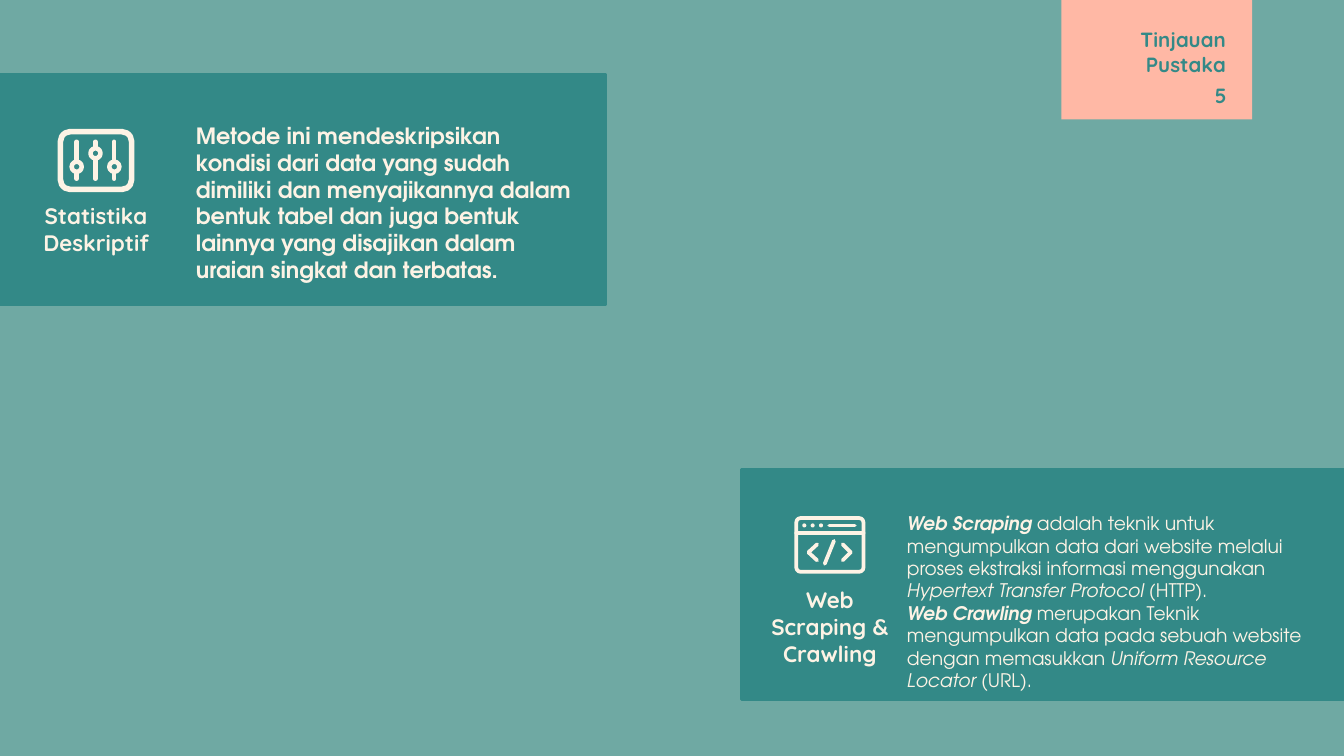
import pptx
import pptx.util
import pptx.dml.color
import pptx.enum.shapes
import pptx.enum.text
import pptx.oxml.ns
from lxml import etree

RGB = pptx.dml.color.RGBColor
TEAL = RGB(0x33, 0x89, 0x87)
CREAM = RGB(0xFD, 0xF3, 0xE5)
PINK = RGB(0xFF, 0xB8, 0xA5)
HEAD, BODY = "Quicksand", "TeX Gyre Adventor"
KIND = pptx.enum.shapes.MSO_SHAPE
ALIGN = pptx.enum.text.PP_ALIGN
ANCHOR = pptx.enum.text.MSO_ANCHOR
WIDTH = pptx.util.Inches(10)
HEIGHT = WIDTH * 9 // 16
COLS, ROWS = 100, 56.25
UNIT = WIDTH / COLS

STATS = [[("Metode ini mendeskripsikan kondisi dari data yang sudah dimiliki dan "
           "menyajikannya dalam bentuk tabel dan juga bentuk lainnya yang disajikan "
           "dalam uraian singkat dan terbatas.", "b")]]
WEB = [
    [("Web Scraping", "bi"),
     (" adalah teknik untuk mengumpulkan data dari website melalui proses "
      "ekstraksi informasi menggunakan ", ""),
     ("Hypertext Transfer Protocol", "i"), (" (HTTP).", "")],
    [("Web Crawling ", "bi"),
     ("merupakan Teknik mengumpulkan data pada sebuah website dengan memasukkan ", ""),
     ("Uniform Resource Locator ", "i"), ("(URL).", "")],
]


def grid(*cells):
    """Turn grid units into slide lengths."""
    return [round(cell * UNIT) for cell in cells]


def shift(box, x, y, w, h):
    """Place a part relative to the corner of a box."""
    return box[0] + x, box[1] + y, w, h


def shape(slide, kind, box, fill=None, line=None, width=1.5):
    """Add a flat preset shape."""
    item = slide.shapes.add_shape(kind, *grid(*box))
    item.shadow.inherit = False
    if fill is None:
        item.fill.background()
    else:
        item.fill.solid()
        item.fill.fore_color.rgb = fill
    if line is None:
        item.line.fill.background()
    else:
        item.line.color.rgb = line
        item.line.width = pptx.util.Pt(width)
    return item


def stroke(slide, box, x1, y1, x2, y2, width=2):
    """Draw a cream line with round ends inside a box."""
    x, y = box[:2]
    item = slide.shapes.add_connector(
        pptx.enum.shapes.MSO_CONNECTOR.STRAIGHT, *grid(x + x1, y + y1, x + x2, y + y2))
    item.line.color.rgb = CREAM
    item.line.width = pptx.util.Pt(width)
    item.line._get_or_add_ln().set("cap", "rnd")
    etree.SubElement(item._element.spPr, pptx.oxml.ns.qn("a:effectLst"))


def write(item, paras, font, size, color, align=ALIGN.LEFT, anchor=ANCHOR.TOP):
    """Fill a text holder with paragraphs of styled runs."""
    frame = item.text_frame
    frame.word_wrap = True
    frame.auto_size = pptx.enum.text.MSO_AUTO_SIZE.NONE
    frame.vertical_anchor = anchor
    for side in ("left", "top", "right", "bottom"):
        setattr(frame, "margin_" + side, pptx.util.Inches(0.1))
    for i, runs in enumerate(paras):
        para = frame.add_paragraph() if i else frame.paragraphs[0]
        para.alignment = align
        para.space_before = pptx.util.Pt(0)
        para.font.name, para.font.size = font, pptx.util.Pt(size)
        para.font.color.rgb = color
        for words, style in runs:
            run = para.add_run()
            run.text = words
            run.font.bold = "b" in style
            run.font.italic = "i" in style


def text(slide, box, *args, **kw):
    """Add a text box and fill it."""
    write(slide.shapes.add_textbox(*grid(*box)), *args, **kw)


def sliders(slide, box):
    """Draw the mixer icon."""
    frame = shape(slide, KIND.ROUNDED_RECTANGLE, box, line=CREAM, width=3)
    frame.adjustments[0] = 0.17
    for x, y in ((1.2, 2.6), (2.6, 1.6), (4, 2.6)):
        stroke(slide, box, x, 0.75, x, 3.5, 2.4)
        knob = shift(box, x - 0.37, y - 0.37, 0.75, 0.75)
        shape(slide, KIND.OVAL, knob, TEAL, CREAM, 2.4)


def browser(slide, box):
    """Draw the code window icon."""
    frame = shape(slide, KIND.ROUNDED_RECTANGLE, shift(box, 0.15, 0.15, 5, 4),
                  line=CREAM, width=2)
    frame.adjustments[0] = 0.08
    for i in range(3):
        shape(slide, KIND.OVAL, shift(box, 0.6 + 0.62 * i, 0.55, 0.3, 0.3), CREAM)
    stroke(slide, box, 0.15, 1.25, 5.15, 1.25)
    stroke(slide, box, 2.6, 0.7, 4.5, 0.7)
    stroke(slide, box, 2.95, 1.85, 2.27, 3.55)
    for back, tip in ((1.7, 1.05), (3.6, 4.2)):
        for y in (2.1, 3.3):
            stroke(slide, box, back, y, tip, 2.7)


def panel(slide, box, icon, spot, label, name, body, paras, size):
    """Draw a teal panel with icon, label and body text."""
    shape(slide, KIND.RECTANGLE, box, TEAL, TEAL)
    text(slide, shift(box, *body), paras, BODY, size, CREAM)
    text(slide, shift(box, *label), [[(name, "b")]], HEAD, 12, CREAM, ALIGN.CENTER)
    icon(slide, shift(box, *spot))


def tag(slide, box):
    """Draw the pink tag with the title and page number."""
    shape(slide, KIND.RECTANGLE, box, PINK)
    title = slide.shapes.title
    title.left, title.top, title.width, title.height = grid(
        *shift(box, 0.75, 1.4, 12.5, 5.3))
    slide.shapes._spTree.append(title._element)
    write(title, [[("Tinjauan Pustaka", "b")]], HEAD, 11, TEAL, ALIGN.RIGHT, ANCHOR.BOTTOM)
    text(slide, shift(box, 7.3, 5.2, 6, 4.3), [[("5", "b")]], HEAD, 11, TEAL, ALIGN.RIGHT)


def ground(slide):
    """Paint the teal ground under a cream veil."""
    slide.background.fill.solid()
    slide.background.fill.fore_color.rgb = TEAL
    veil = shape(slide, KIND.RECTANGLE, (0, 0, COLS, ROWS), CREAM)
    color = veil._element.spPr.find(".//" + pptx.oxml.ns.qn("a:srgbClr"))
    etree.SubElement(color, pptx.oxml.ns.qn("a:alpha"), val="30000")


def main():
    """Build and save the slide."""
    deck = pptx.Presentation()
    deck.slide_width, deck.slide_height = WIDTH, HEIGHT
    slide = deck.slides.add_slide(deck.slide_layouts[5])
    ground(slide)
    panel(slide, (55.2, 34.95, 45.1, 17.1), browser, (3.9, 3.45, 5.3, 4.3),
          (0.7, 7.65, 11.7, 7.6), "Web Scraping & Crawling",
          (11.3, 2.15, 32.4, 14.4), WEB, 10)
    panel(slide, (0, 5.55, 45.1, 17.1), sliders, (4.5, 4.25, 5.3, 4.3),
          (1.3, 8.5, 11.7, 6.2), "Statistika Deskriptif",
          (13.6, 2.53, 30.5, 11), STATS, 12)
    tag(slide, (78.97, 0, 14.2, 8.88))
    deck.save("out.pptx")


if __name__ == "__main__":
    main()
